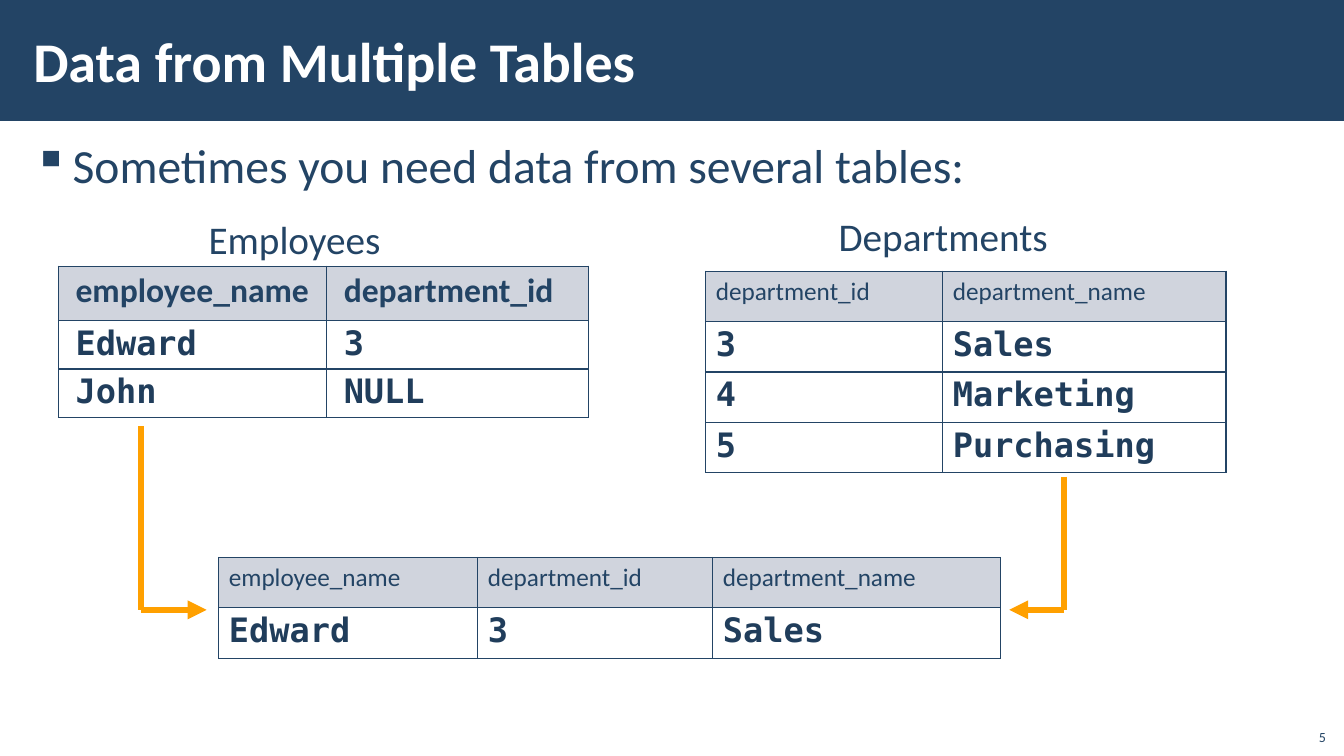
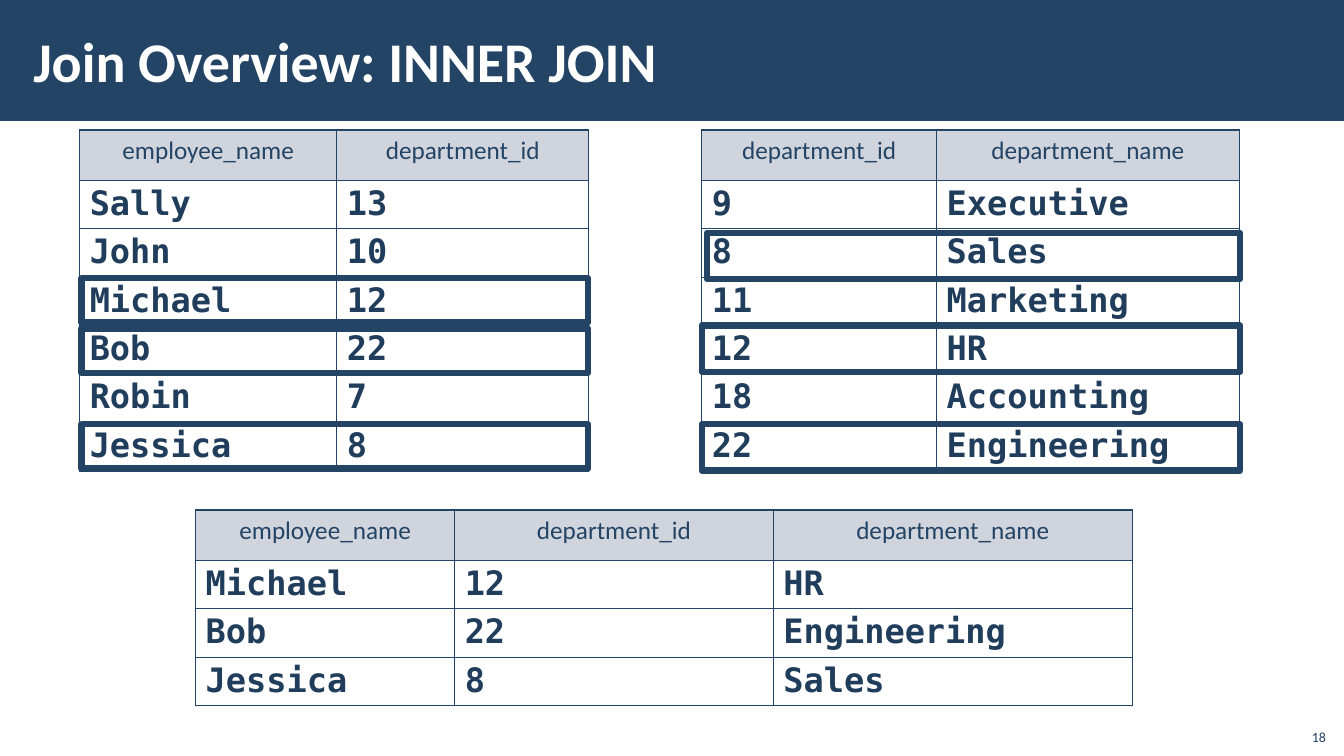
from collections import namedtuple
from dataclasses import dataclass

from lxml.etree import SubElement
from pptx import Presentation
from pptx.dml.color import RGBColor
from pptx.enum.shapes import MSO_CONNECTOR, MSO_SHAPE
from pptx.enum.text import MSO_ANCHOR as Anchor, MSO_AUTO_SIZE as AutoSize, PP_ALIGN as Align
from pptx.oxml.ns import qn
from pptx.util import Inches, Pt

Box = namedtuple("Box", "left top width height")
Style = namedtuple("Style", "size font color bold")


@dataclass(frozen=True)
class Theme:
    navy: str = "234465"
    orange: str = "FFA000"
    header_fill: str = "A3ABBC"
    header_alpha: int = 50
    thick: float = 4.5
    thin: float = 1
    title: Style = Style(40, "Calibri", "FFFFFF", True)
    bullet: Style = Style(34, "Calibri", "234465", False)
    caption: Style = Style(28, "Calibri", "234465", False)
    header: Style = Style(18, "Calibri", "234465", False)
    bold_header: Style = Style(24, "Calibri", "234465", True)
    data: Style = Style(24, "DejaVu Sans Mono", "203D5B", True)
    number: Style = Style(10, "Calibri", "234465", False)


THEME = Theme()
PAGE = Box(0, 0, 13.33, 7.5)
BAND = Box(0, 0, 13.33, 1.2)
TITLE = Box(0.21, 0.11, 10.63, 0.97)
NUMBER = Box(12.85, 7.12, 0.4, 0.32)
HEADER_HEIGHT = 0.5


# Helpers
def inches(box):
    return [Inches(length) for length in box]


def rgb(color):
    return RGBColor.from_string(color)


def add_run(para, text, style):
    span = para.add_run()
    span.text = text
    font = span.font
    font.size, font.name, font.bold = Pt(style.size), style.font, style.bold
    font.color.rgb = rgb(style.color)


def set_insets(target, side, end):
    target.margin_left = target.margin_right = Inches(side)
    target.margin_top = target.margin_bottom = Inches(end)


def add_text(page, box, text, style, wrap=True):
    shape = page.shapes.add_textbox(*inches(box))
    frame = shape.text_frame
    frame.word_wrap = wrap
    if not wrap:
        frame.auto_size = AutoSize.SHAPE_TO_FIT_TEXT
    add_run(frame.paragraphs[0], text, style)
    return frame


# Parts shared by all pages
def add_band(page):
    """Put the title band behind everything on the layout of the page."""
    band = page.shapes.add_shape(MSO_SHAPE.RECTANGLE, *inches(BAND))
    band.shadow.inherit = False
    band.fill.solid()
    band.fill.fore_color.rgb = rgb(THEME.navy)
    band.line.fill.background()
    page.slide_layout.shapes.element.insert(2, band.element)


def add_page(deck, title, number):
    page = deck.slides.add_slide(deck.slide_layouts[5])
    holder = page.shapes.title
    holder.left, holder.top, holder.width, holder.height = inches(TITLE)
    frame = holder.text_frame
    frame.auto_size = AutoSize.NONE
    frame.vertical_anchor = Anchor.MIDDLE
    set_insets(frame, 0.12, 0.04)
    para = frame.paragraphs[0]
    para.alignment = Align.LEFT
    add_run(para, title, THEME.title)

    footer = add_text(page, NUMBER, number, THEME.number)
    footer.vertical_anchor = Anchor.BOTTOM
    footer.paragraphs[0].alignment = Align.RIGHT
    return page


def add_bullet(page, box, text):
    frame = add_text(page, box, text, THEME.bullet)
    set_insets(frame, 0.12, 0.04)
    para = frame.paragraphs[0]
    para.space_before = para.space_after = Pt(6)
    props = para._p.get_or_add_pPr()
    props.set("marL", str(Inches(0.39)))
    props.set("indent", str(-Inches(0.39)))
    SubElement(props, qn("a:buChar")).set("char", "▪")


# Tables
def add_borders(cell):
    props = cell._tc.get_or_add_tcPr()
    for place, side in enumerate(("lnL", "lnR", "lnT", "lnB")):
        line = SubElement(props, qn(f"a:{side}"), w=str(Pt(THEME.thin)))
        fill = SubElement(line, qn("a:solidFill"))
        SubElement(fill, qn("a:srgbClr"), val=THEME.navy)
        props.insert(place, line)


def space_data(para):
    """Set tight lines, with 40 percent of a line above."""
    para.line_spacing = 0.95
    para.space_before = Pt(0)
    before = para._p.pPr.find(qn("a:spcBef"))
    before.remove(before[0])
    SubElement(before, qn("a:spcPct"), val="40000")


def format_cell(cell, text, is_header, header_style, align, inset):
    set_insets(cell, inset, 0.05)
    para = cell.text_frame.paragraphs[0]
    if is_header:
        para.alignment = align
        cell.fill.solid()
        cell.fill.fore_color.rgb = rgb(THEME.header_fill)
        tint = cell._tc.tcPr.find(".//" + qn("a:srgbClr"))
        SubElement(tint, qn("a:alpha"), val=str(THEME.header_alpha * 1000))
    else:
        cell.fill.background()
    if not is_header or header_style.bold:
        space_data(para)
    add_run(para, text, header_style if is_header else THEME.data)
    add_borders(cell)


def add_data_table(page, box, first_widths, rows, header_style=THEME.header,
                   align=Align.LEFT, inset=0.1, header_height=HEADER_HEIGHT):
    """The last column and the data rows share what the box leaves over."""
    widths = [*first_widths, box.width - sum(first_widths)]
    row_height = (box.height - header_height) / (len(rows) - 1)
    table = page.shapes.add_table(len(rows), len(widths), *inches(box)).table
    table.first_row = table.horz_banding = False
    for column, width in zip(table.columns, widths):
        column.width = Inches(width)
    for index, (row, texts) in enumerate(zip(table.rows, rows)):
        row.height = Inches(row_height if index else header_height)
        for cell, text in zip(row.cells, texts):
            format_cell(cell, text, index == 0, header_style, align, inset)


# Marks
def add_bent_arrow(page, start, end):
    """Go straight down from start, then sideways to an arrowhead at end."""
    corner = (start[0], end[1])
    group = page.shapes.add_group_shape()
    for begin, finish in ((start, corner), (corner, end)):
        line = group.shapes.add_connector(
            MSO_CONNECTOR.STRAIGHT, *inches(begin), *inches(finish))
        line.line.color.rgb = rgb(THEME.orange)
        line.line.width = Pt(THEME.thick)
        props = line._element.spPr
        if finish == end:
            SubElement(props.find(qn("a:ln")), qn("a:tailEnd"), type="triangle")
        SubElement(props, qn("a:effectLst"))


def add_row_frame(page, box):
    frame = page.shapes.add_shape(MSO_SHAPE.RECTANGLE, *inches(box))
    frame.shadow.inherit = False
    frame.fill.background()
    frame.line.color.rgb = rgb(THEME.navy)
    frame.line.width = Pt(THEME.thick)
    SubElement(frame._element.spPr.find(qn("a:ln")), qn("a:round"))


# Pages
def build_multiple_tables(deck):
    page = add_page(deck, "Data from Multiple Tables", "5")
    add_band(page)
    add_bullet(page, Box(0.21, 1.31, 12.92, 6.05),
               "Sometimes you need data from several tables:")
    add_text(page, Box(1.97, 2.09, 1.92, 0.57), "Employees", THEME.caption, wrap=False)
    add_text(page, Box(8.22, 2.06, 2.3, 0.57), "Departments", THEME.caption, wrap=False)

    add_data_table(page, Box(0.58, 2.64, 5.26, 1.5), [2.66], [
        ("employee_name", "department_id"),
        ("Edward", "3"),
        ("John", "NULL"),
    ], header_style=THEME.bold_header, inset=0.17, header_height=0.54)
    add_data_table(page, Box(7, 2.69, 5.16, 2), [2.35], [
        ("department_id", "department_name"),
        ("3", "Sales"),
        ("4", "Marketing"),
        ("5", "Purchasing"),
    ])
    add_data_table(page, Box(2.17, 5.53, 7.75, 1), [2.57, 2.33], [
        ("employee_name", "department_id", "department_name"),
        ("Edward", "3", "Sales"),
    ])

    add_bent_arrow(page, (1.4, 4.23), (2.05, 6.05))
    add_bent_arrow(page, (10.55, 4.73), (10.01, 6.05))


def build_inner_join(deck):
    page = add_page(deck, "Join Overview: INNER JOIN", "18")
    add_data_table(page, Box(0.79, 1.29, 5.05, 3.32), [2.55], [
        ("employee_name", "department_id"),
        ("Sally", "13"),
        ("John", "10"),
        ("Michael", "12"),
        ("Bob", "22"),
        ("Robin", "7"),
        ("Jessica", "8"),
    ], align=Align.CENTER)
    add_data_table(page, Box(6.96, 1.29, 5.33, 3.38), [2.33], [
        ("department_id", "department_name"),
        ("9", "Executive"),
        ("8", "Sales"),
        ("11", "Marketing"),
        ("12", "HR"),
        ("18", "Accounting"),
        ("22", "Engineering"),
    ], align=Align.CENTER)
    add_data_table(page, Box(1.94, 5.06, 9.29, 1.91), [2.57, 3.16], [
        ("employee_name", "department_id", "department_name"),
        ("Michael", "12", "HR"),
        ("Bob", "22", "Engineering"),
        ("Jessica", "8", "Sales"),
    ], align=Align.CENTER)

    # Frames around the rows that match
    for top in (2.76, 3.26, 4.21):
        add_row_frame(page, Box(0.81, top, 5.02, 0.44))
    for left, top in ((7.01, 2.31), (6.96, 3.23), (6.96, 4.21)):
        add_row_frame(page, Box(left, top, 12.3 - left, 0.46))


def main():
    deck = Presentation()
    deck.slide_width, deck.slide_height = Inches(PAGE.width), Inches(PAGE.height)
    build_multiple_tables(deck)
    build_inner_join(deck)
    deck.save("out.pptx")


if __name__ == "__main__":
    main()
